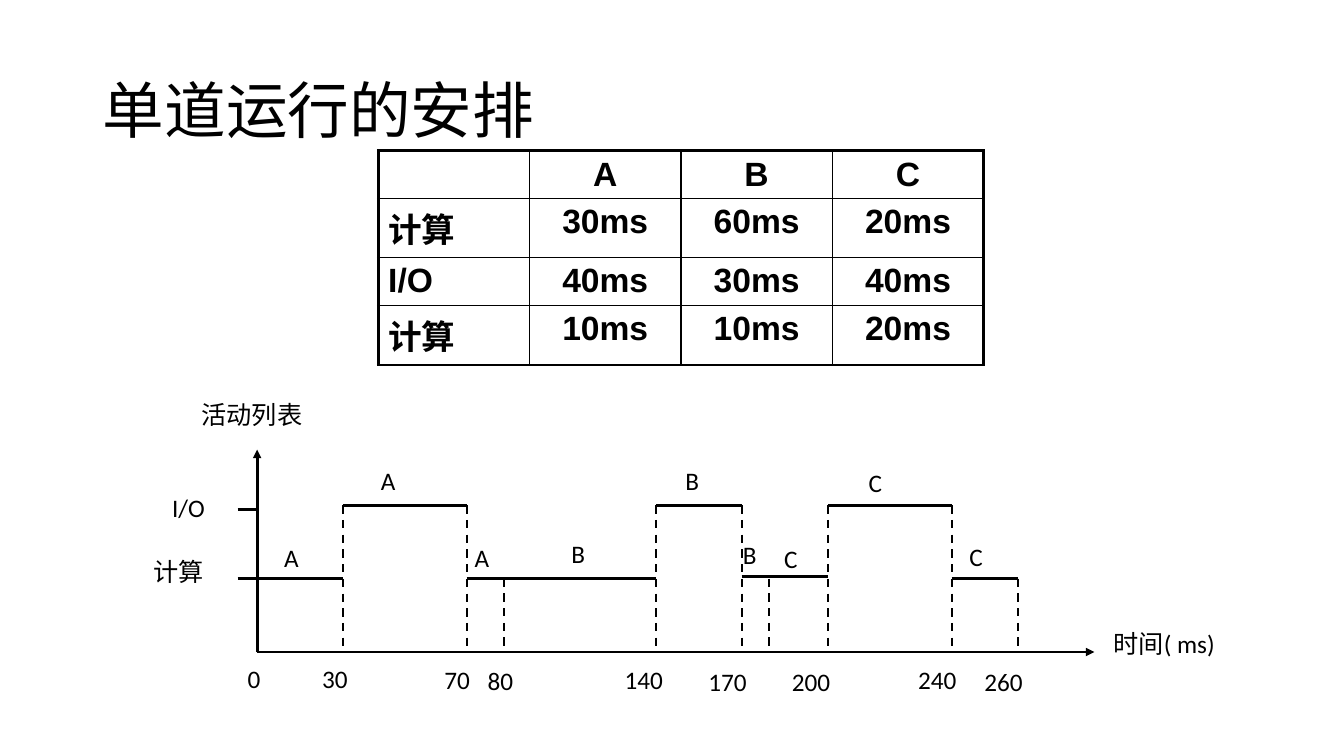
from lxml import etree
from pptx import Presentation
from pptx import util as u
from pptx.dml.color import RGBColor
from pptx.enum import dml, shapes, text
from pptx.oxml import ns

BLACK = RGBColor(0x00, 0x00, 0x00)

# Content
TITLE = "单道运行的安排"
JOBS = [
    ["", "A", "B", "C"],
    ["计算", "30ms", "60ms", "20ms"],
    ["I/O", "40ms", "30ms", "40ms"],
    ["计算", "10ms", "10ms", "20ms"],
]
ROW_HEIGHTS = [1.19, 1.49, 1.19, 1.51]

# Chart geometry in cm
TIME_X = {0: 6.48, 30: 8.64, 70: 11.76, 80: 12.7, 140: 16.54, 170: 18.69,
          180: 19.38, 200: 20.87, 240: 23.98, 260: 25.65}
IO_Y, COMPUTE_Y, LATE_COMPUTE_Y, AXIS_Y = 12.73, 14.58, 14.53, 16.43
AXIS_END_X, AXIS_TOP_Y = 27.58, 11.33
TICK_X, IO_TICK_Y = 5.99, 12.83

# Busy periods: start, end, level
PERIODS = [
    (0, 30, COMPUTE_Y), (30, 70, IO_Y), (70, 140, COMPUTE_Y),
    (140, 170, IO_Y), (170, 200, LATE_COMPUTE_Y), (200, 240, IO_Y),
    (240, 260, COMPUTE_Y),
]
# Dashed drop lines: time, top
DROPS = [(time, IO_Y) for time in (30, 70, 140, 170, 200, 240)]
DROPS += [(time, COMPUTE_Y) for time in (80, 180, 260)]

# Labels: wording, left, top, width
LABELS = [
    ("时间( ms)", 27.81, 15.72, 3.71), ("活动列表", 4.83, 9.93, 3.71),
    ("I/O", 4.09, 12.27, 1.93), ("计算", 3.61, 13.89, 2.41),
    ("A", 6.91, 13.54, 0.97), ("A", 9.35, 11.61, 0.97),
    ("A", 11.71, 13.54, 0.97), ("B", 14.15, 13.44, 0.97),
    ("B", 17.02, 11.61, 0.97), ("B", 18.47, 13.46, 0.97),
    ("C", 19.51, 13.56, 0.97), ("C", 21.64, 11.66, 0.97),
    ("C", 24.18, 13.51, 0.97),
    ("0", 5.99, 16.59, 0.97), ("30", 7.87, 16.59, 1.68),
    ("70", 10.95, 16.61, 1.68), ("80", 12.04, 16.64, 1.68),
    ("140", 15.49, 16.61, 2.16), ("170", 17.6, 16.66, 2.16),
    ("200", 19.71, 16.66, 2.16), ("240", 22.89, 16.61, 2.16),
    ("260", 24.56, 16.66, 2.16),
]


def add_run(para, wording, font, size, bold=False):
    span = para.add_run()
    span.text = wording
    span.font.name = font
    span.font.size = u.Pt(size)
    span.font.bold = bold
    span.font.color.rgb = BLACK


def add_line(page, x1, y1, x2, y2, width=2, dashed=False, arrow=False):
    line = page.shapes.add_connector(
        shapes.MSO_CONNECTOR.STRAIGHT, u.Cm(x1), u.Cm(y1), u.Cm(x2), u.Cm(y2))
    line.line.color.rgb = BLACK
    line.line.width = u.Pt(width)
    if dashed:
        line.line.dash_style = dml.MSO_LINE.DASH
    if arrow:
        etree.SubElement(line.line._get_or_add_ln(), ns.qn("a:tailEnd"),
                         type="triangle")
    etree.SubElement(line._element.spPr, ns.qn("a:effectLst"))


def add_border(cell, side, width):
    border = etree.SubElement(cell._tc.get_or_add_tcPr(), ns.qn("a:ln" + side),
                              w=str(u.Pt(width)))
    fill = etree.SubElement(border, ns.qn("a:solidFill"))
    etree.SubElement(fill, ns.qn("a:srgbClr"), val=str(BLACK))


def add_title(page):
    title = page.shapes.title
    title.left, title.top = u.Cm(2.34), u.Cm(1.02)
    title.width, title.height = u.Cm(29.21), u.Cm(3.68)
    frame = title.text_frame
    frame.auto_size = text.MSO_AUTO_SIZE.NONE
    frame.vertical_anchor = text.MSO_ANCHOR.MIDDLE
    para = frame.paragraphs[0]
    para.alignment = text.PP_ALIGN.LEFT
    para.line_spacing = 0.9
    add_run(para, TITLE, "Calibri", 44)


def add_job_table(page):
    rows, columns = len(JOBS), len(JOBS[0])
    table = page.shapes.add_table(
        rows, columns, u.Cm(9.53), u.Cm(3.8), u.Cm(15.26),
        u.Cm(sum(ROW_HEIGHTS))).table
    for row, height in zip(table.rows, ROW_HEIGHTS):
        row.height = u.Cm(height)
    for r, values in enumerate(JOBS):
        for c, value in enumerate(values):
            cell = table.cell(r, c)
            # Thick outer frame, thin inner grid
            outer = {"L": c == 0, "R": c == columns - 1,
                     "T": r == 0, "B": r == rows - 1}
            for side, thick in outer.items():
                add_border(cell, side, 2.25 if thick else 1)
            cell.fill.background()
            para = cell.text_frame.paragraphs[0]
            para.alignment = text.PP_ALIGN.CENTER if c else text.PP_ALIGN.LEFT
            if value:
                add_run(para, value, "Arial", 24, bold=True)


def add_timeline(page):
    # Axes and ticks
    origin = TIME_X[0]
    add_line(page, origin, AXIS_Y, AXIS_END_X, AXIS_Y, arrow=True)
    add_line(page, origin, AXIS_Y, origin, AXIS_TOP_Y, arrow=True)
    for y in (IO_TICK_Y, COMPUTE_Y):
        add_line(page, TICK_X, y, origin, y)

    # Busy periods and drop lines
    for start, end, y in PERIODS:
        add_line(page, TIME_X[start], y, TIME_X[end], y)
    for time, top in DROPS:
        add_line(page, TIME_X[time], top, TIME_X[time], AXIS_Y, 1.5, dashed=True)

    # Labels
    for wording, left, top, width in LABELS:
        box = page.shapes.add_textbox(u.Cm(left), u.Cm(top), u.Cm(width), u.Cm(1.19))
        box.text_frame.word_wrap = True
        add_run(box.text_frame.paragraphs[0], wording, "Calibri", 18)


def main():
    deck = Presentation()
    deck.slide_width, deck.slide_height = u.Cm(33.87), u.Cm(19.05)
    page = deck.slides.add_slide(deck.slide_layouts[5])
    add_title(page)
    add_job_table(page)
    add_timeline(page)
    deck.save("out.pptx")


if __name__ == "__main__":
    main()
